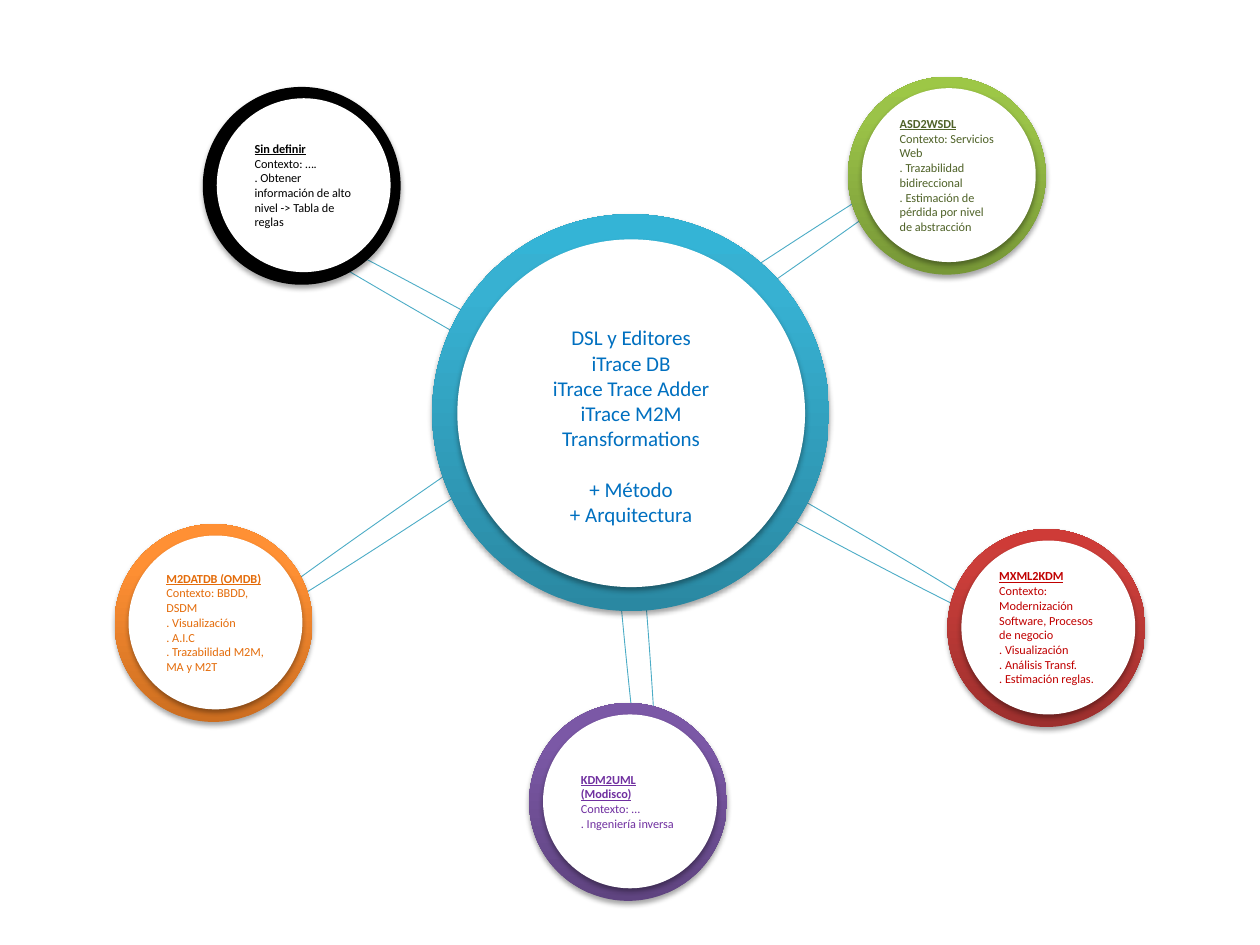
from copy import deepcopy
from dataclasses import dataclass

from lxml import etree
from pptx import Presentation
from pptx.dml.color import RGBColor
from pptx.enum.shapes import MSO_SHAPE
from pptx.enum.text import MSO_ANCHOR, PP_ALIGN
from pptx.oxml import parse_xml
from pptx.oxml.ns import nsdecls, qn
from pptx.util import Inches, Pt

OVAL = MSO_SHAPE.OVAL
LEFT, CENTER = PP_ALIGN.LEFT, PP_ALIGN.CENTER
MIDDLE = MSO_ANCHOR.MIDDLE


@dataclass(frozen=True)
class Theme:
    font: str = "Calibri"
    hub_size: float = 12
    node_size: float = 7
    disc: str = "FFFFFF"
    spoke_line: str = "4BACC6"
    hub_text: str = "0070C0"
    hub_ring: tuple = ("2A88A2", "37B1D2", "34B4D6")
    orange: tuple = ("CC6E20", "FF9034", "FF9136")
    purple: tuple = ("5F4480", "7B58A6", "7C57A8")
    red: tuple = ("9C2F2D", "CB3E3A", "CE3B37")
    green: tuple = ("779737", "9BC348", "9DC746")
    black: tuple = ("000000",)


THEME = Theme()


def add_circle(left, top, size, colors):
    """Shadowed circle, with a bottom-to-top gradient if given three colours."""
    circle = slide.shapes.add_shape(OVAL, Inches(left), Inches(top), Inches(size), Inches(size))
    circle.line.fill.background()
    if len(colors) == 1:
        circle.fill.solid()
        circle.fill.fore_color.rgb = RGBColor.from_string(colors[0])
    else:
        circle.fill.gradient()
        circle.fill.gradient_angle = 90
        stop_list = circle._element.spPr.find(".//" + qn("a:gsLst"))
        stop_list.insert(1, deepcopy(stop_list[0]))
        for stop, position, color in zip(circle.fill.gradient_stops, (0, 0.8, 1), colors):
            stop.position = position
            stop.color.rgb = RGBColor.from_string(color)
    circle.shadow.inherit = False
    circle._element.spPr.find(qn("a:effectLst")).append(parse_xml(
        f'<a:outerShdw {nsdecls("a")} blurRad="{Pt(3.1)}" dist="{Pt(1.8)}" dir="5400000" '
        'rotWithShape="0"><a:srgbClr val="000000"><a:alpha val="35000"/></a:srgbClr></a:outerShdw>'))
    return circle


def write_lines(disc, lines, align, size, color):
    frame = disc.text_frame
    frame.word_wrap = True
    frame.vertical_anchor = MIDDLE
    frame.text = "\n".join(lines)
    for paragraph in frame.paragraphs:
        paragraph.alignment = align
        for run in paragraph.runs:
            run.font.name = THEME.font
            run.font.size = Pt(size)
            run.font.color.rgb = RGBColor.from_string(color)
    return frame.paragraphs


prs = Presentation()
prs.slide_width, prs.slide_height = Inches(10), Inches(7.5)
slide = prs.slides.add_slide(prs.slide_layouts[6])

# Spokes: thin rotated ellipses behind the circles
for left, top, length, angle in [
    (2.63, 4.36, 4.74, 265.1),
    (1.31, 3.15, 7.17, 29.1),
    (1.14, 2.98, 7.17, 326),
]:
    spoke = slide.shapes.add_shape(OVAL, Inches(left), Inches(top), Inches(length), Inches(0.2))
    spoke.rotation = angle
    spoke.fill.solid()
    spoke.fill.fore_color.rgb = RGBColor.from_string(THEME.disc)
    spoke.line.color.rgb = RGBColor.from_string(THEME.spoke_line)
    spoke.line.width = Pt(0.5)
    spoke.shadow.inherit = False

# Central hub
add_circle(3.43, 1.7, 3.15, THEME.hub_ring)
hub = add_circle(3.63, 1.9, 2.76, (THEME.disc,))
hub_lines = write_lines(
    hub,
    ["DSL y Editores", "iTrace DB", "iTrace Trace Adder", "iTrace M2M Transformations",
     "+ Método", "+ Arquitectura"],
    CENTER, THEME.hub_size, THEME.hub_text)
hub.text_frame.margin_top = Inches(0.25)
hub_lines[4].space_before = Pt(14.6)

# Outer nodes: ring position, ring colours, text colour, heading and lines
nodes = [
    (0.91, 4.16, THEME.orange, "E46C0A",
     ["M2DATDB (OMDB)", "Contexto: BBDD, DSDM", ". Visualización", ". A.I.C",
      ". Trazabilidad M2M, MA y M2T"]),
    (4.2, 5.58, THEME.purple, "7030A0",
     ["KDM2UML (Modisco)", "Contexto: …", ". Ingeniería inversa"]),
    (7.52, 4.2, THEME.red, "C00000",
     ["MXML2KDM", "Contexto: Modernización Software, Procesos de negocio",
      ". Visualización", ". Análisis Transf.", ". Estimación reglas."]),
    (6.73, 0.61, THEME.green, "4F6228",
     ["ASD2WSDL", "Contexto: Servicios Web", ". Trazabilidad bidireccional",
      ". Estimación de pérdida por nivel de abstracción"]),
    (1.61, 0.69, THEME.black, "000000",
     ["Sin definir", "Contexto: ….",
      ". Obtener información de alto nivel -> Tabla de reglas"]),
]
for left, top, ring_colors, text_color, lines in nodes:
    add_circle(left, top, 1.57, ring_colors)
    disc = add_circle(left + 0.11, top + 0.09, 1.38, (THEME.disc,))
    heading = write_lines(disc, lines, LEFT, THEME.node_size, text_color)[0].runs[0]
    heading.font.bold = True
    heading.font.underline = True

prs.save("out.pptx")
